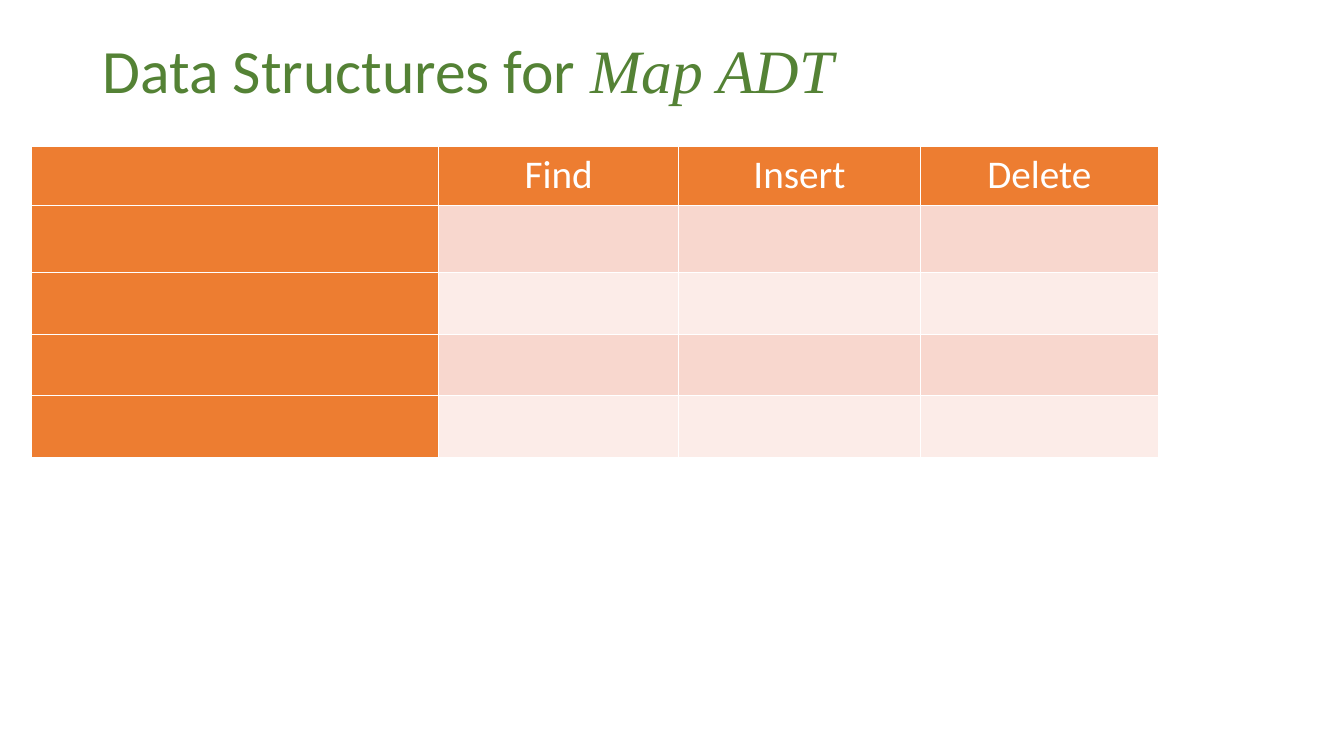
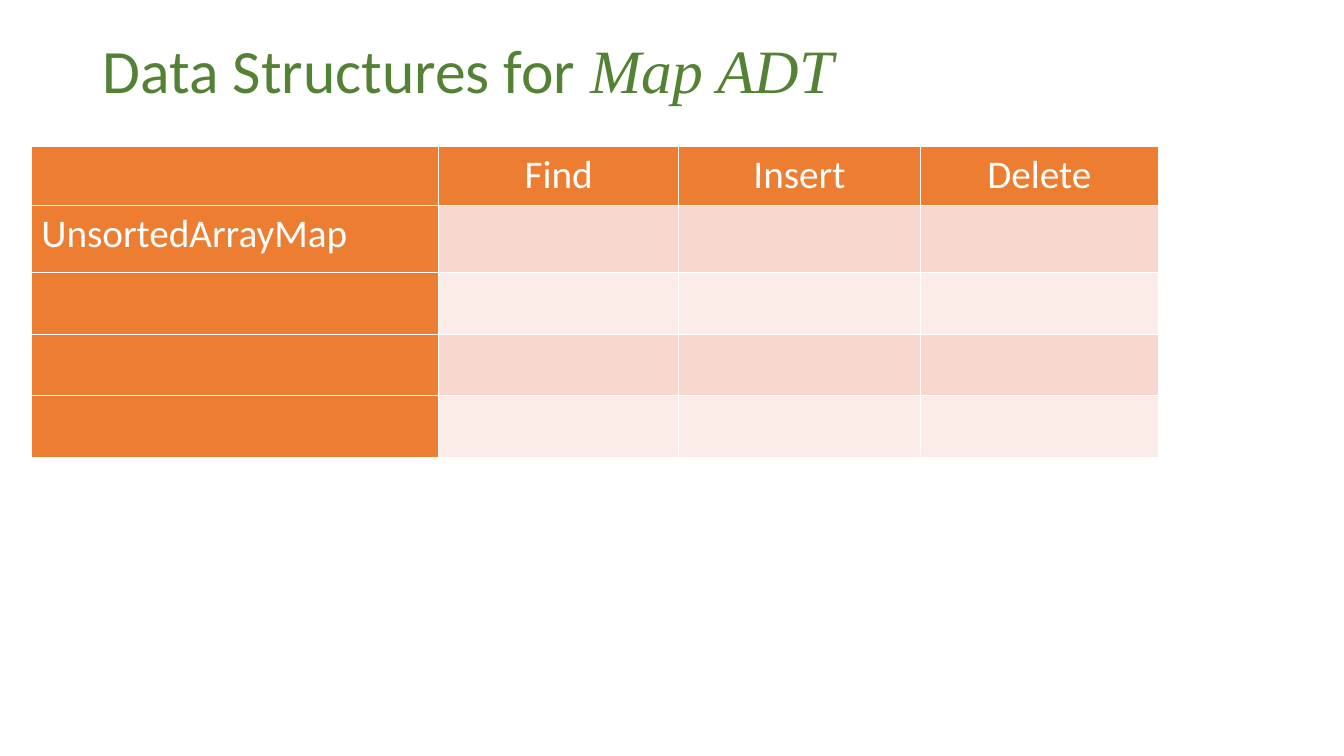
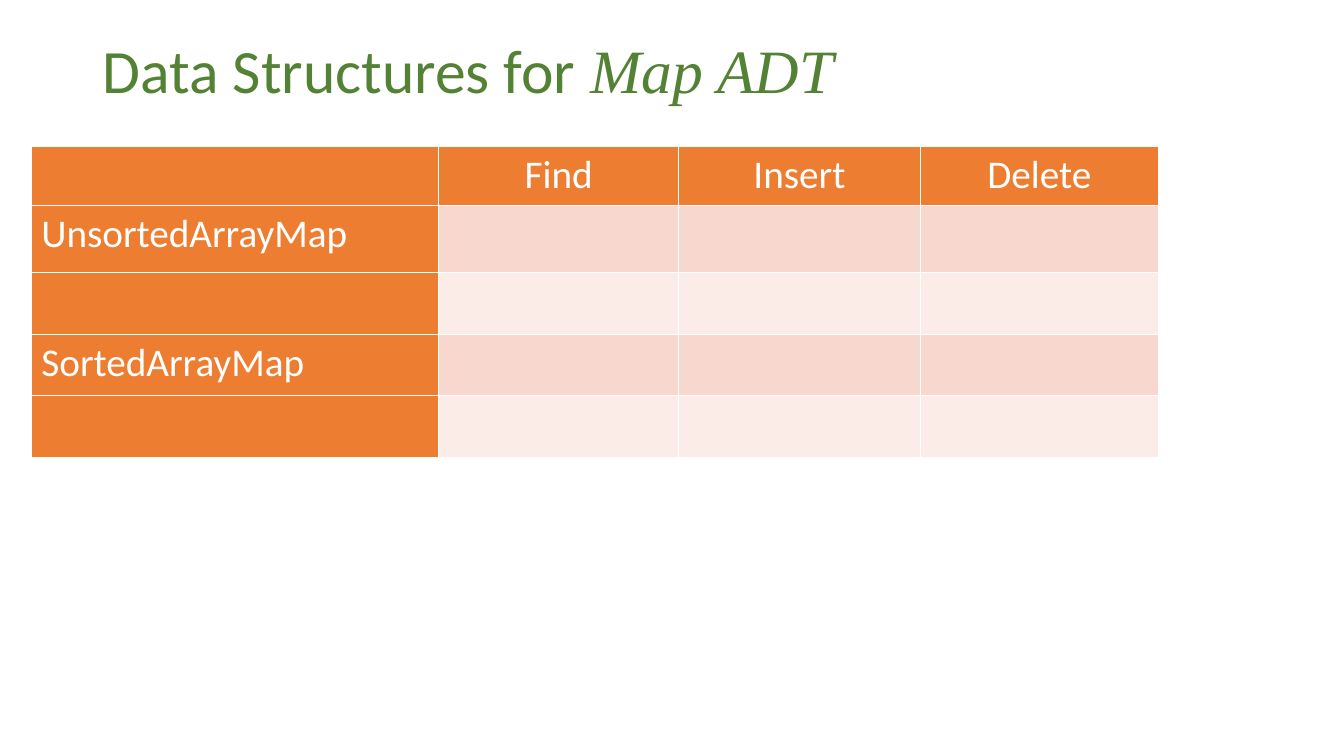
from lxml.etree import SubElement
from pptx import Presentation
from pptx.dml.color import RGBColor as RGB
from pptx.enum.text import MSO_ANCHOR as ANCHOR, MSO_AUTO_SIZE as AUTO, PP_ALIGN as ALIGN
from pptx.oxml.ns import qn
from pptx.util import Inches, Pt

GREEN = RGB(0x54, 0x82, 0x35)
ORANGE = RGB(0xED, 0x7D, 0x31)
BANDS = (RGB(0xF8, 0xD7, 0xCE), RGB(0xFC, 0xEC, 0xE8))
WHITE = RGB(0xFF, 0xFF, 0xFF)
SANS, SERIF = "Calibri", "Times New Roman"
TITLE_ONLY = 5

# Table grid, in percent of the slide's width and height
COLS = (30.31, 17.85, 18, 17.7)
ROWS = (7.87, 8.8, 8.27, 8, 8.27)
HEADINGS = ("Find", "Insert", "Delete")


class Deck:
    """Holds the shared style and the current slide."""

    def __init__(self):
        self.prs = Presentation()
        self.prs.slide_width, self.prs.slide_height = Inches(13.33), Inches(7.5)

    def x(self, percent):
        return int(self.prs.slide_width * percent / 100)

    def y(self, percent):
        return int(self.prs.slide_height * percent / 100)

    def new_slide(self):
        self.s = self.prs.slides.add_slide(self.prs.slide_layouts[TITLE_ONLY])

    def style(self, r, size, color, font=SANS, italic=False):
        r.font.size, r.font.name = Pt(size), font
        r.font.color.rgb = color
        r.font.bold, r.font.italic = False, italic

    def title(self, plain, emphasis):
        sp = self.s.shapes.title
        sp.left, sp.top = self.x(6.9), 0
        sp.width, sp.height = self.x(86.25), self.y(19.33)
        tf = sp.text_frame
        tf.auto_size, tf.vertical_anchor = AUTO.NONE, ANCHOR.MIDDLE
        p = tf.paragraphs[0]
        p.alignment, p.line_spacing = ALIGN.LEFT, 0.9
        for text, font in ((plain, SANS), (emphasis, SERIF)):
            r = p.add_run()
            r.text = text
            self.style(r, 44, GREEN, font, italic=font == SERIF)

    def borders(self, cell):
        tc_pr = cell._tc.get_or_add_tcPr()
        for side in ("a:lnL", "a:lnR", "a:lnT", "a:lnB"):
            ln = SubElement(tc_pr, qn(side), w=str(Pt(1)))
            fill = SubElement(ln, qn("a:solidFill"))
            SubElement(fill, qn("a:srgbClr"), val=str(WHITE))

    def cell(self, cell, text, fill, align):
        self.borders(cell)
        cell.fill.solid()
        cell.fill.fore_color.rgb = fill
        if text:
            p = cell.text_frame.paragraphs[0]
            p.text, p.alignment = text, align
            self.style(p.runs[0], 28, WHITE)

    def table(self, row_names):
        """Draw the comparison table; row_names maps row number to label."""
        frame = self.s.shapes.add_table(
            len(ROWS), len(COLS), self.x(2.33), self.y(19.33),
            self.x(sum(COLS)), self.y(sum(ROWS)))
        table = frame.table
        table.first_col = True
        for column, width in zip(table.columns, COLS):
            column.width = self.x(width)
        for i, height in enumerate(ROWS):
            table.rows[i].height = self.y(height)
            labels = ("", *HEADINGS) if i == 0 else (row_names.get(i, ""), "", "", "")
            for j, text in enumerate(labels):
                header = i == 0 or j == 0
                self.cell(table.cell(i, j), text,
                          ORANGE if header else BANDS[(i - 1) % 2],
                          ALIGN.LEFT if j == 0 else ALIGN.CENTER)


# One slide for each step in filling the table
STEPS = (
    {},
    {1: "UnsortedArrayMap"},
    {1: "UnsortedArrayMap", 3: "SortedArrayMap"},
)

deck = Deck()
for row_names in STEPS:
    deck.new_slide()
    deck.title("Data Structures for ", "Map ADT")
    deck.table(row_names)
deck.prs.save("out.pptx")
